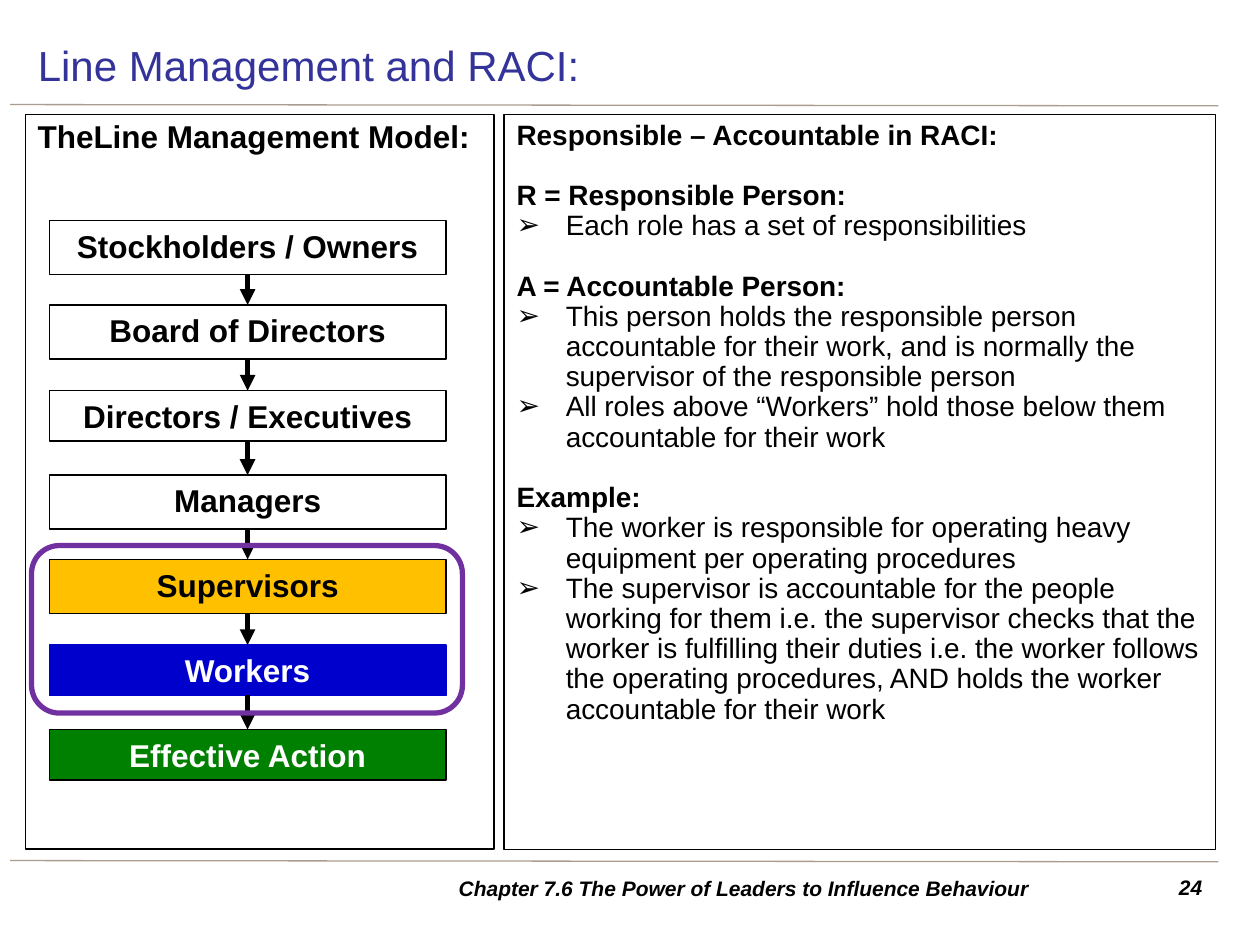
import pptx
import pptx.util
import pptx.dml.color
import pptx.enum.shapes
import pptx.enum.text
import pptx.oxml.ns
from lxml import etree

Inches, Pt = pptx.util.Inches, pptx.util.Pt
KIND = pptx.enum.shapes.MSO_SHAPE
LINK = pptx.enum.shapes.MSO_CONNECTOR.STRAIGHT
ALIGN = pptx.enum.text.PP_ALIGN
ANCHOR = pptx.enum.text.MSO_ANCHOR
FIT = pptx.enum.text.MSO_AUTO_SIZE

# Content
TITLE = "Line Management and RACI:"
MODEL = "TheLine Management Model:"
FOOTER = "Chapter 7.6 The Power of Leaders to Influence Behaviour"
NUMBER = "24"
RACI = [
    ("Responsible – Accountable in RACI:", []),
    ("R = Responsible Person:", ["Each role has a set of responsibilities"]),
    ("A = Accountable Person:", [
        "This person holds the responsible person accountable for their work, "
        "and is normally the supervisor of the responsible person",
        "All roles above “Workers” hold those below them accountable for their work",
    ]),
    ("Example:", [
        "The worker is responsible for operating heavy equipment per operating procedures",
        "The supervisor is accountable for the people working for them i.e. the "
        "supervisor checks that the worker is fulfilling their duties i.e. the worker "
        "follows the operating procedures, AND holds the worker accountable for their work",
    ]),
]
# Level name, height, fill, line, text colour
LEVELS = [
    ("Stockholders / Owners", 0.43, "white", "black", "black"),
    ("Board of Directors", 0.43, "white", "black", "black"),
    ("Directors / Executives", 0.4, "white", "black", "black"),
    ("Managers", 0.43, "white", "black", "black"),
    ("Supervisors", 0.43, "gold", "black", "black"),
    ("Workers", 0.4, "blue", "blue", "white"),
    ("Effective Action", 0.4, "green", "black", "white"),
]

THEME = {
    "font": "Arial",
    "size": {"title": 24, "level": 18, "body": 16, "foot": 12},
    "color": {
        "black": "000000", "white": "FFFFFF", "title": "333399", "rule": "AA9C8F",
        "gold": "FFC000", "blue": "0000CC", "green": "008000", "ring": "7030A0",
    },
}


def color(name):
    return pptx.dml.color.RGBColor.from_string(THEME["color"][name])


def style(para, size, tint="black", bold=False, italic=False, align=ALIGN.LEFT):
    para.alignment = align
    for run in para.runs:
        font = run.font
        font.name = THEME["font"]
        font.size = Pt(THEME["size"][size])
        font.bold, font.italic = bold, italic
        font.color.rgb = color(tint)


def place(shape, left, top, width, height):
    shape.left, shape.top = Inches(left), Inches(top)
    shape.width, shape.height = Inches(width), Inches(height)


def edge(shape, tint, width=0.75):
    shape.line.color.rgb = color(tint)
    shape.line.width = Pt(width)


def add_box(kind, area, fill, line, width=0.75):
    box = slide.shapes.add_shape(kind, *map(Inches, area))
    box.shadow.inherit = False
    if fill:
        box.fill.solid()
        box.fill.fore_color.rgb = color(fill)
    else:
        box.fill.background()
    edge(box, line, width)
    box.text_frame.vertical_anchor = ANCHOR.TOP
    return box


def add_line(start, end, tint, width):
    line = slide.shapes.add_connector(LINK, *map(Inches, start + end))
    edge(line, tint, width)
    etree.SubElement(line._element.spPr, pptx.oxml.ns.qn("a:effectLst"))
    return line


def add_note(area, text, align):
    note = slide.shapes.add_textbox(*map(Inches, area))
    note.text_frame.word_wrap = True
    note.text_frame.text = text
    style(note.text_frame.paragraphs[0], "foot", bold=True, italic=True, align=align)
    return note


def set_bullet(para, mark):
    props = para._p.get_or_add_pPr()
    indent = Inches(0.39) if mark else 0
    props.set("marL", str(indent))
    props.set("indent", str(-indent))
    tag = "a:buChar" if mark else "a:buNone"
    item = etree.SubElement(props, pptx.oxml.ns.qn(tag))
    if mark:
        item.set("char", mark)


deck = pptx.Presentation()
deck.slide_width, deck.slide_height = Inches(10), Inches(7.5)
slide = deck.slides.add_slide(deck.slide_layouts[1])

# Rules above and below the content
for y in (0.83, 6.83):
    add_line((0.08, y), (9.67, y + 0.01), "rule", 0.75)

# Title
title = slide.shapes.title
place(title, 0.2, 0.24, 9.45, 0.55)
title.text_frame.text = TITLE
title.text_frame.auto_size = FIT.NONE
title.text_frame.vertical_anchor = ANCHOR.MIDDLE
style(title.text_frame.paragraphs[0], "title", "title")

# RACI panel
body = slide.placeholders[1]
place(body, 4, 0.91, 5.65, 5.83)
edge(body, "black")
frame = body.text_frame
frame.auto_size = FIT.NONE
rows = []
for head, points in RACI:
    rows.append((head, None))
    rows += [(point, "➢") for point in points]
for i, (text, mark) in enumerate(rows):
    para = frame.add_paragraph() if i else frame.paragraphs[0]
    para.text = text
    set_bullet(para, mark)
    para.line_spacing = 0.9
    para.space_before = Pt(17.25 if i and not mark else 0)
    style(para, "body", bold=not mark)

# Line management panel
panel = add_box(KIND.RECTANGLE, (0.2, 0.91, 3.72, 5.83), None, "black")
panel.text_frame.text = MODEL
panel.text_frame.paragraphs[0].line_spacing = 0.9
style(panel.text_frame.paragraphs[0], "level", bold=True)

# Levels, evenly spaced from the top
TOP, STEP = 1.75, 0.673
boxes = []
for i, (name, height, fill, line, tint) in enumerate(LEVELS):
    area = (0.39, round(TOP + i * STEP, 2), 3.15, height)
    box = add_box(KIND.RECTANGLE, area, fill, line)
    box.text_frame.text = name
    style(box.text_frame.paragraphs[0], "level", tint, bold=True, align=ALIGN.CENTER)
    boxes.append(box)

# Arrows between neighbouring levels
for upper, lower in zip(boxes, boxes[1:]):
    arrow = add_line((0, 0), (0, 0), "black", 3)
    arrow.begin_connect(upper, 2)
    arrow.end_connect(lower, 0)
    tail = etree.SubElement(arrow.line._get_or_add_ln(), pptx.oxml.ns.qn("a:tailEnd"))
    tail.set("type", "triangle")

# Ring around supervisors and workers
add_box(KIND.ROUNDED_RECTANGLE, (0.25, 4.33, 3.42, 1.33), None, "ring", 3)

# Footer
foot = add_note((2.95, 6.89, 5.91, 0.31), FOOTER, ALIGN.CENTER)
foot.text_frame.vertical_anchor = ANCHOR.MIDDLE
add_note((9.06, 6.89, 0.58, 0.31), NUMBER, ALIGN.RIGHT)

deck.save("out.pptx")
